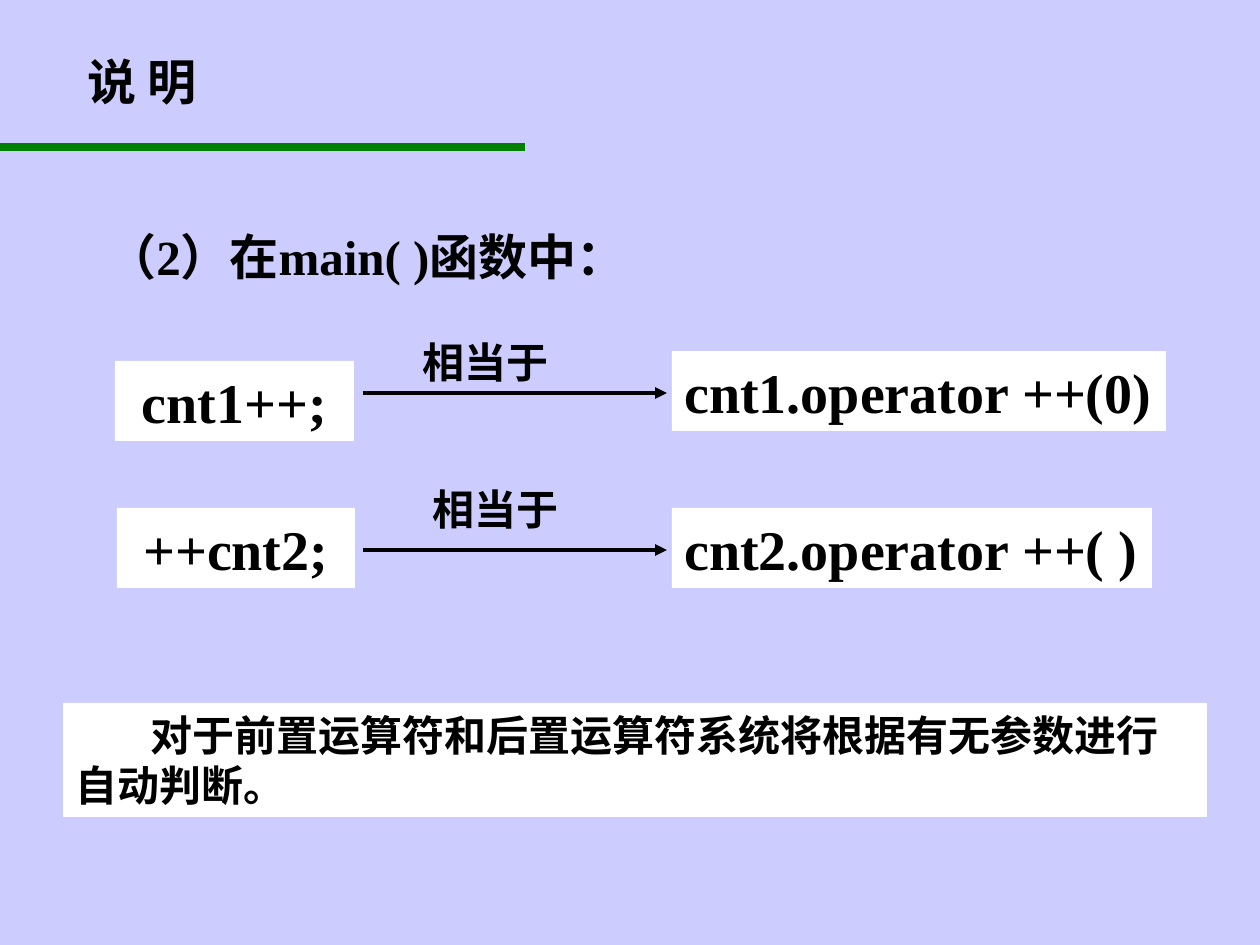
from dataclasses import dataclass
from pptx import Presentation
from pptx.dml.color import RGBColor
from pptx.enum.shapes import MSO_CONNECTOR as Connector, MSO_SHAPE as Shape
from pptx.enum.text import MSO_ANCHOR as Anchor, PP_ALIGN as Align
from pptx.oxml.ns import qn
from pptx.util import Emu, Pt
from lxml.etree import SubElement

PIXEL = 914400 // 126


def px(length):
    return Emu(length * PIXEL)


@dataclass(frozen=True)
class Theme:
    background: str = "CCCCFF"
    panel: str = "FFFFFF"
    ink: str = "000000"
    accent: str = "008000"
    latin: str = "Times New Roman"
    chinese: str = "Noto Sans CJK SC"
    heading: int = 28
    code: int = 32
    body: int = 24


class SlideBuilder:
    def __init__(self, slide, theme):
        self.slide, self.theme = slide, theme
        fill = slide.background.fill
        fill.solid()
        fill.fore_color.rgb = RGBColor.from_string(theme.background)

    def set_text(self, shape, text, size, wrap, align=Align.LEFT, indent=0):
        frame = shape.text_frame
        frame.word_wrap = wrap
        frame.vertical_anchor = Anchor.TOP
        paragraph = frame.paragraphs[0]
        paragraph.text = text
        paragraph.alignment = align
        if indent:
            paragraph._p.get_or_add_pPr().set("indent", str(px(indent)))
        font = paragraph.font
        font.name, font.size, font.bold = self.theme.latin, Pt(size), True
        font.color.rgb = RGBColor.from_string(self.theme.ink)
        # East Asian typeface for the Chinese characters
        SubElement(font._element, qn("a:ea"), typeface=self.theme.chinese)

    def label(self, box, text, size, wrap=False):
        shape = self.slide.shapes.add_textbox(*map(px, box))
        self.set_text(shape, text, size, wrap)

    def panel(self, box, text, size, wrap=False, **layout):
        shape = self.slide.shapes.add_shape(Shape.RECTANGLE, *map(px, box))
        shape.shadow.inherit = False
        shape.fill.solid()
        shape.fill.fore_color.rgb = RGBColor.from_string(self.theme.panel)
        shape.line.fill.background()
        self.set_text(shape, text, size, wrap, **layout)

    def line(self, left, right, y, color, width, arrow=False):
        connector = self.slide.shapes.add_connector(
            Connector.STRAIGHT, px(left), px(y), px(right), px(y))
        connector.line.color.rgb = RGBColor.from_string(color)
        connector.line.width = Pt(width)
        if arrow:
            SubElement(connector.line._get_or_add_ln(), qn("a:tailEnd"), type="triangle")
        SubElement(connector._element.spPr, qn("a:effectLst"))


theme = Theme()
presentation = Presentation()
presentation.slide_width, presentation.slide_height = px(1260), px(945)
slide = presentation.slides.add_slide(presentation.slide_layouts[6])
builder = SlideBuilder(slide, theme)

# Heading and rule
builder.label((75, 45, 134, 72), "说 明", theme.heading)
builder.line(0, 525, 147, theme.accent, 4.5)
builder.label((95, 220, 671, 84), "（2）在main( )函数中：", theme.heading, wrap=True)

# Each expression with its equivalent call
equivalents = [
    ("cnt1++;", (115, 361, 239, 80), "cnt1.operator ++(0)", (672, 351, 494, 80), (410, 330), 393),
    ("++cnt2;", (117, 508, 238, 80), "cnt2.operator ++( )", (672, 508, 480, 80), (420, 477), 550),
]
for expression, expression_box, call, call_box, label_at, arrow_y in equivalents:
    builder.panel(expression_box, expression, theme.code, align=Align.CENTER)
    builder.panel(call_box, call, theme.code)
    builder.label((*label_at, 151, 63), "相当于", theme.body)
    builder.line(363, 667, arrow_y, theme.ink, 2.25, arrow=True)

# Closing note
builder.panel((63, 703, 1144, 114), "对于前置运算符和后置运算符系统将根据有无参数进行自动判断。",
              theme.body, wrap=True, indent=75)

presentation.save("out.pptx")
